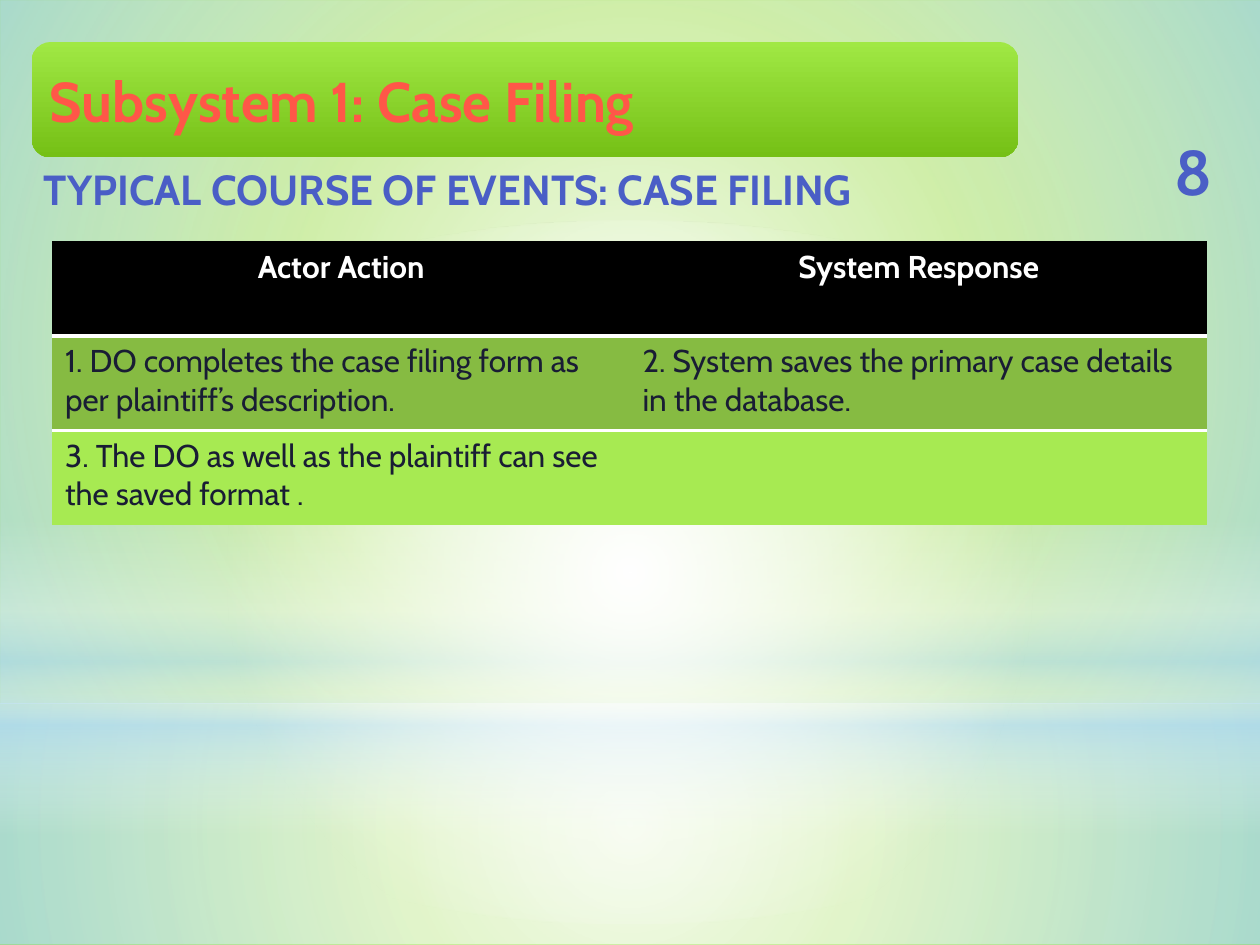
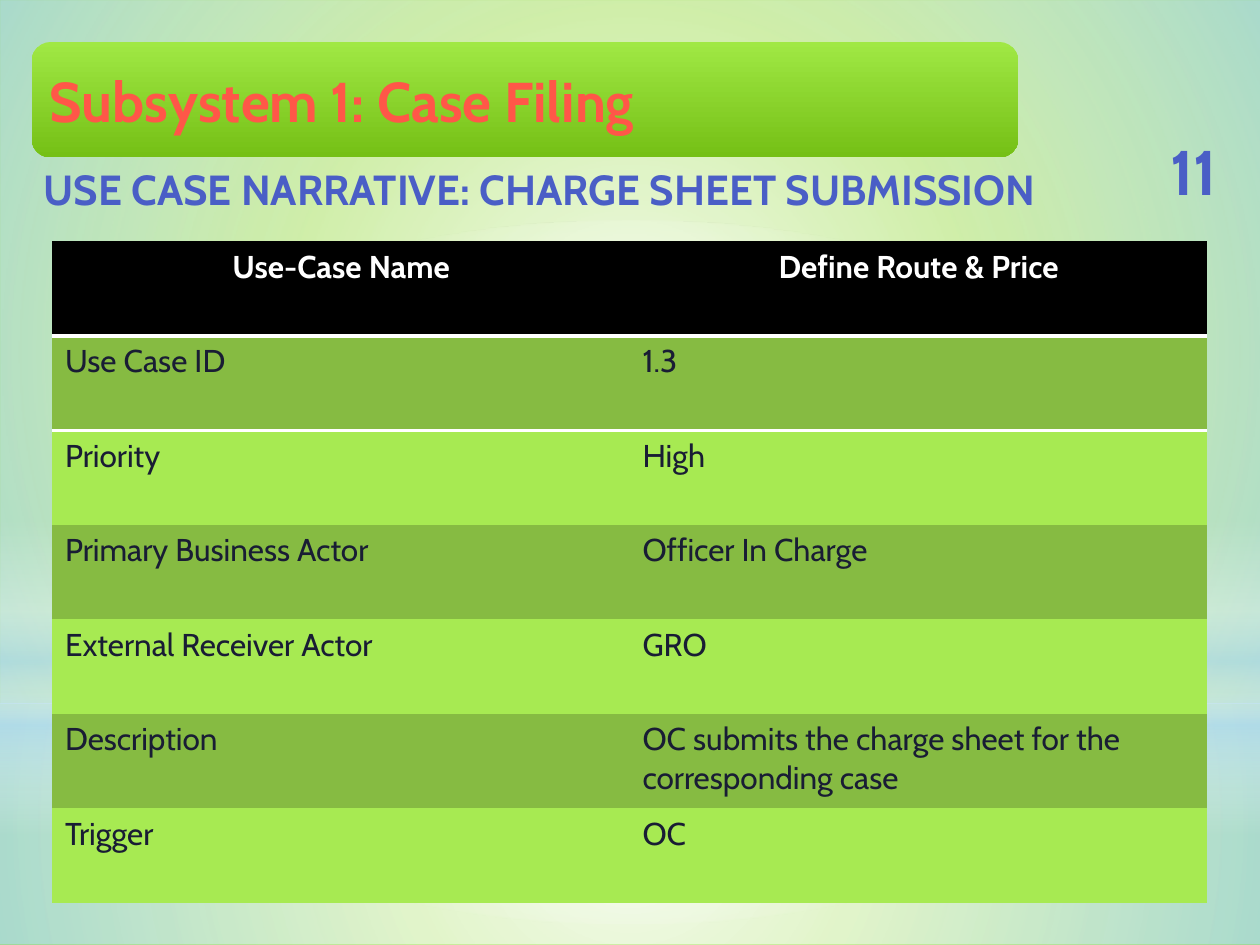
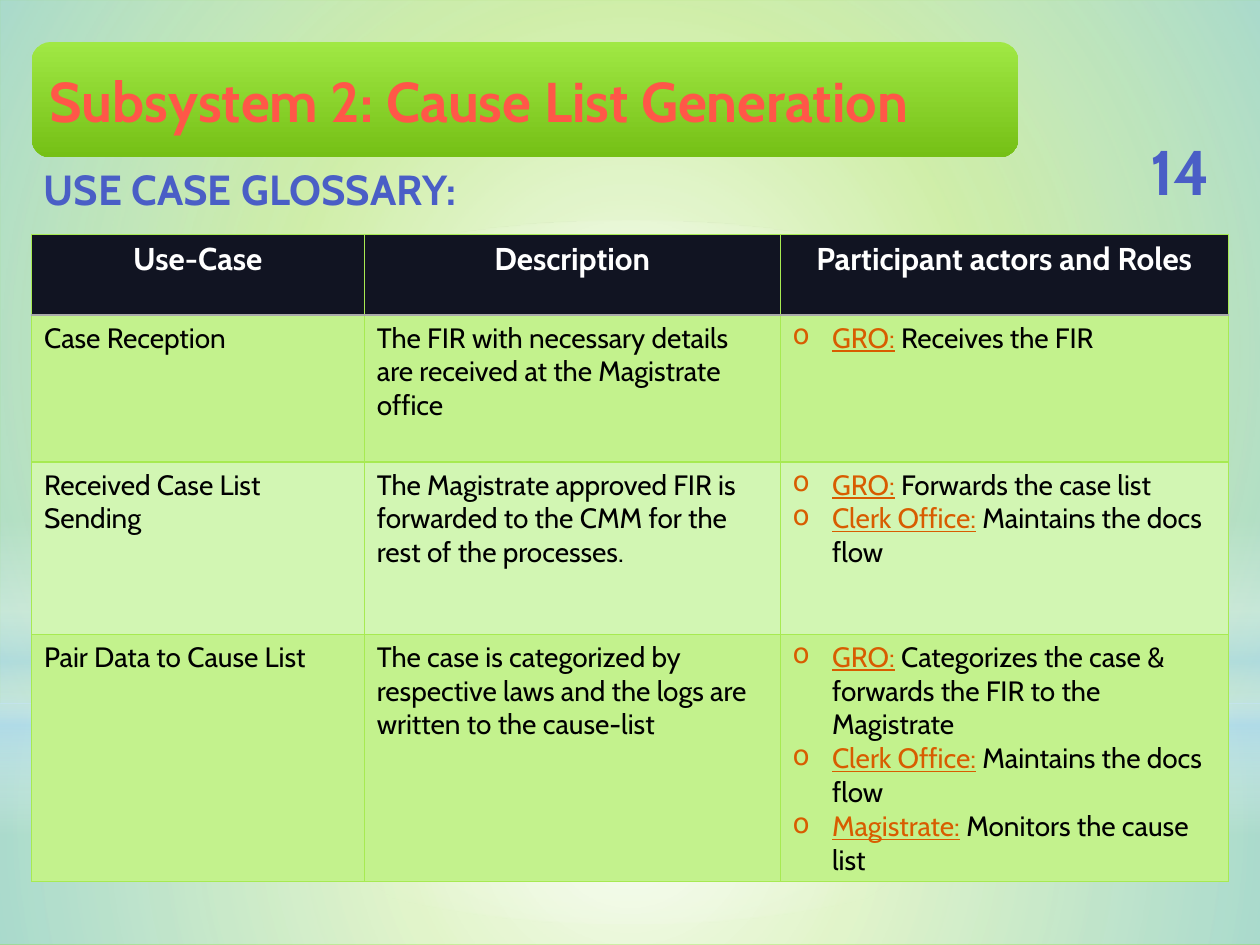
import pptx
import pptx.util
import pptx.dml.color
import pptx.enum.shapes
import pptx.enum.text
import pptx.oxml
import pptx.oxml.ns

deck = pptx.Presentation()
deck.slide_width = pptx.util.Inches(10)
deck.slide_height = pptx.util.Inches(7.5)
unit = deck.slide_width // 120
hue = pptx.dml.color.RGBColor.from_string
kinds = pptx.enum.shapes.MSO_SHAPE
align = pptx.enum.text.PP_ALIGN
middle = pptx.enum.text.MSO_ANCHOR.MIDDLE
space = pptx.oxml.ns.nsdecls("a")
plain = "{2D5ABB26-0587-4C30-8999-92F81FD0307C}"

white, sky, lime, coral, blue = "FFFFFF", "B4DCFA", "A7EA52", "FF5748", "4A5EC6"
ink, black, rust = "191D34", "000000", "D85C00"

glows = [
    (kinds.RECTANGLE, (0, 67, 120, 23), [(0, white, 91), (37, white, 76), (100, sky, 79)], None),
    (kinds.RECTANGLE, (0, 0, 120, 67), [(0, white, 89), (48, white, 62), (100, sky, 79)], None),
    (kinds.RECTANGLE, (0, 49.5, 120, 30),
     [(0, white, 0), (29, white, 30), (45, sky, 40), (55, white, 26), (65, sky, 60), (100, white, 0)], 90),
    (kinds.OVAL, (0, 21, 120, 67), [(0, white, 100), (56, white, 0)], None),
    (kinds.ROUNDED_RECTANGLE, (3, 4, 94, 11), [(0, "A0E844", 100), (100, "75C016", 100)], 90),
]

wide = dict(left=5, top=23, cols=[55, 55], size=18, ink=ink, head=black,
            bands=["86BB42", lime], rule=(white, 2), grid=None)
gloss = dict(left=3, top=22.3, cols=[31.7, 39.6, 42.7], size=16, ink=black, head="111422",
             bands=["C3F28D", "D2F6B3"], rule=("A9A9A9", 1.25), grid=(lime, 0.75))

pages = [
    ("Subsystem 1: Case Filing", "8", (109, 9.4), "TYPICAL COURSE OF EVENTS: CASE FILING", 94, wide, [9] * 3, [
        ["Actor Action", "System Response"],
        ["1. DO completes the case filing form as per plaintiff’s description.",
         "2. System saves the primary case details in the database."],
        ["3. The DO as well as the plaintiff can see the saved format .", ""],
    ]),
    ("Subsystem 1: Case Filing", "11", (109, 9.4), "USE CASE NARRATIVE: CHARGE SHEET SUBMISSION", 103.5, wide, [9] * 7, [
        ["Use-Case Name", "Define Route & Price"],
        ["Use Case ID", "1.3"],
        ["Priority", "High"],
        ["Primary Business Actor", "Officer In Charge"],
        ["External Receiver Actor", "GRO"],
        ["Description", "OC submits the charge sheet for the corresponding case"],
        ["Trigger", "OC"],
    ]),
    ("Subsystem 2: Cause List Generation", "14", (106.5, 11.8), "USE CASE GLOSSARY:", 42.7, gloss,
     [7.7, 14, 16.4, 23.5], [
        ["Use-Case", "Description", "Participant actors and Roles"],
        ["Case Reception", "The FIR with necessary details are received at the Magistrate office",
         [("GRO:", "Receives the FIR")]],
        ["Received Case List Sending",
         "The Magistrate approved FIR is forwarded to the CMM for the rest of the processes.",
         [("GRO:", "Forwards the case list"), ("Clerk Office:", "Maintains the docs flow")]],
        ["Pair Data to Cause List",
         "The case is categorized by respective laws and the logs are written to the cause-list",
         [("GRO:", "Categorizes the case & forwards the FIR to the Magistrate"),
          ("Clerk Office:", "Maintains the docs flow"),
          ("Magistrate:", "Monitors the cause list")]],
    ]),
]


def blend(shape, stops, turn):
    shape.fill.solid()
    marks = "".join(
        f'<a:gs pos="{spot * 1000}"><a:srgbClr val="{code}"><a:alpha val="{part * 1000}"/></a:srgbClr></a:gs>'
        for spot, code, part in stops)
    if turn is None:
        way = '<a:path path="circle"><a:fillToRect l="50000" t="50000" r="50000" b="50000"/></a:path>'
    else:
        way = f'<a:lin ang="{turn * 60000}" scaled="0"/>'
    fill = shape.element.spPr.find(pptx.oxml.ns.qn("a:solidFill"))
    shape.element.spPr.replace(fill, pptx.oxml.parse_xml(
        f'<a:gradFill {space} rotWithShape="1"><a:gsLst>{marks}</a:gsLst>{way}</a:gradFill>'))


def style(para, size, code, bold=False, side=align.LEFT):
    para.alignment = side
    para.font.name = "Cabin"
    para.font.size = pptx.util.Pt(size)
    para.font.bold = bold
    para.font.color.rgb = hue(code)


for title, count, (edge, span), topic, reach, look, rows, cells in pages:
    slide = deck.slides.add_slide(deck.slide_layouts[6])
    slide.background.fill.solid()
    slide.background.fill.fore_color.rgb = hue("81D31A")

    for kind, place, stops, turn in glows:
        shape = slide.shapes.add_shape(kind, *[int(unit * n) for n in place])
        shape.shadow.inherit = False
        shape.line.fill.background()
        blend(shape, stops, turn)
    banner = shape.text_frame
    banner.text = title
    banner.vertical_anchor = middle
    style(banner.paragraphs[0], 32, coral, True)

    for words, place, size, side in [
        (count, (edge, 13, span, 6.5), 36, align.CENTER),
        (topic, (3, 15, reach, 6), 24, align.LEFT),
    ]:
        frame = slide.shapes.add_textbox(*[int(unit * n) for n in place]).text_frame
        frame.word_wrap = True
        frame.text = words
        if side == align.CENTER:
            frame.vertical_anchor = middle
        style(frame.paragraphs[0], size, blue, True, side)

    place = [look["left"], look["top"], sum(look["cols"]), sum(rows)]
    table = slide.shapes.add_table(
        len(rows), len(look["cols"]), *[int(unit * n) for n in place]).table
    table._tbl.tblPr.find(pptx.oxml.ns.qn("a:tableStyleId")).text = plain
    for col, width in zip(table.columns, look["cols"]):
        col.width = int(unit * width)
    for r, (row, height) in enumerate(zip(table.rows, rows)):
        row.height = int(unit * height)
        for cell, entry in zip(row.cells, cells[r]):
            props = cell._tc.get_or_add_tcPr()
            for name in "LRTB":
                rule = look["grid"]
                if (r, name) in [(0, "B"), (1, "T")]:
                    rule = look["rule"]
                if rule:
                    props.append(pptx.oxml.parse_xml(
                        f'<a:ln{name} {space} w="{int(rule[1] * 12700)}"><a:solidFill>'
                        f'<a:srgbClr val="{rule[0]}"/></a:solidFill></a:ln{name}>'))
            cell.fill.solid()
            cell.fill.fore_color.rgb = hue(look["bands"][(r - 1) % 2] if r else look["head"])

            if isinstance(entry, str):
                cell.text = entry
                para = cell.text_frame.paragraphs[0]
                if r:
                    style(para, look["size"], look["ink"])
                else:
                    style(para, 18, white, True, align.CENTER)
                continue
            for n, (who, task) in enumerate(entry):
                frame = cell.text_frame
                para = frame.add_paragraph() if n else frame.paragraphs[0]
                props = para._p.get_or_add_pPr()
                props.set("marL", "285750")
                props.set("indent", "-285750")
                props.append(pptx.oxml.parse_xml(f'<a:buChar {space} char="o"/>'))
                style(para, look["size"], look["ink"])
                run = para.add_run()
                run.text = who
                run.font.underline = True
                run.font.color.rgb = hue(rust)
                para.add_run().text = " " + task

deck.save("out.pptx")
